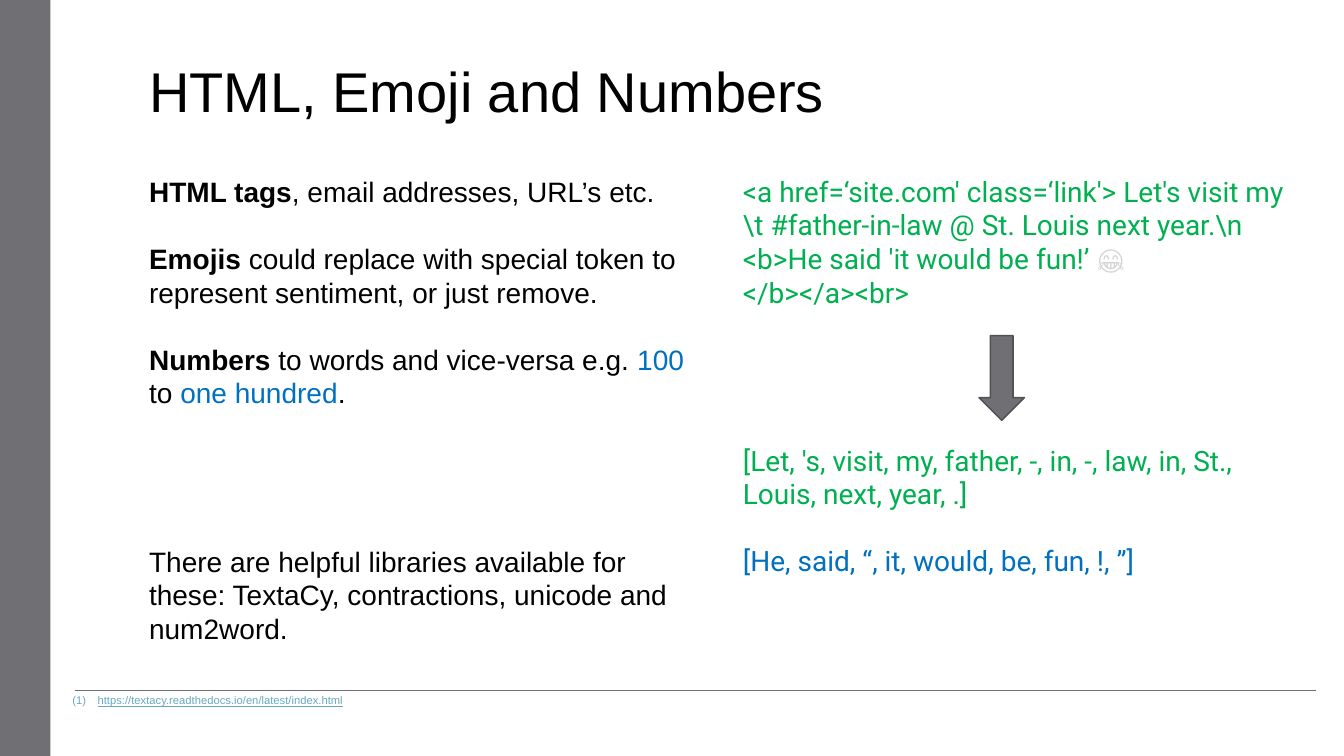
import pptx
import pptx.util
import pptx.dml.color
import pptx.enum.shapes
import pptx.enum.text
import pptx.oxml
import lxml.etree
from dataclasses import dataclass
from pptx.util import Inches


@dataclass(frozen=True)
class Theme:
    sans: str = "Arial"
    code: str = "Roboto"
    symbol: str = "DejaVu Sans Mono"
    black: str = "000000"
    blue: str = "0070C0"
    green: str = "00B050"
    pale: str = "D4D4D4"
    gray: str = "6F6F74"
    edge: str = "525256"
    link: str = "67AABF"
    title_size: int = 40
    body_size: int = 20
    note_size: int = 8
    leading: float = 1.2


THEME = Theme()

TITLE = "HTML, Emoji and Numbers"
REFERENCE = "https://textacy.readthedocs.io/en/latest/index.html"

PLAIN = {}
BOLD = {"bold": True}
BLUE = {"color": THEME.blue}
EMOJI = {"color": THEME.pale, "font": THEME.symbol}

ADVICE = [
    (0, [("HTML tags", BOLD), (", email addresses, URL’s etc.", PLAIN)]),
    (1, [("Emojis", BOLD),
         (" could replace with special token to represent sentiment, or just remove.", PLAIN)]),
    (1, [("Numbers", BOLD), (" to words and vice-versa e.g. ", PLAIN), ("100", BLUE),
         (" to ", PLAIN), ("one hundred", BLUE), (".", PLAIN)]),
    (4, [("There are helpful libraries available for these: "
          "TextaCy, contractions, unicode and num2word.", PLAIN)]),
]

EXAMPLE = [
    (0, [("<a href=‘site.com' class=‘link'> Let's visit my \\t #father-in-law @ St. Louis "
          "next year.\\n <b>He said 'it would be fun!’ ", PLAIN),
         ("😂 ", EMOJI), ("</b></a><br>", PLAIN)]),
    (4, [("[Let, 's, visit, my, father, -, in, -, law, in, St., Louis, next, year, .]", PLAIN)]),
    (1, [("[He, said, “, it, would, be, fun, !, ”]", BLUE)]),
]


def rgb(value):
    return pptx.dml.color.RGBColor.from_string(value)


def style_span(span, size, color, font, bold=False):
    span.font.size = pptx.util.Pt(size)
    span.font.name = font
    span.font.bold = bold
    span.font.color.rgb = rgb(color)


def prepare_frame(box):
    frame = box.text_frame
    frame.word_wrap = True
    frame.auto_size = pptx.enum.text.MSO_AUTO_SIZE.NONE
    frame.vertical_anchor = pptx.enum.text.MSO_ANCHOR.TOP
    return frame


def set_leading(para, size, blank_lines=0):
    pitch = size * THEME.leading
    para.alignment = pptx.enum.text.PP_ALIGN.LEFT
    para.line_spacing = pptx.util.Pt(pitch)
    para.space_before = pptx.util.Pt(pitch * blank_lines)


def add_shape(page, kind, area, fill, line=None):
    shape = page.shapes.add_shape(kind, *map(Inches, area))
    shape.shadow.inherit = False
    shape.fill.solid()
    shape.fill.fore_color.rgb = rgb(fill)
    if line:
        shape.line.color.rgb = rgb(line)
        shape.line.width = pptx.util.Pt(1.1)
    else:
        shape.line.fill.background()


def add_rule(page, left, right, top):
    rule = page.shapes.add_connector(
        pptx.enum.shapes.MSO_CONNECTOR.STRAIGHT,
        Inches(left), Inches(top), Inches(right), Inches(top))
    rule.line.color.rgb = rgb(THEME.gray)
    rule.line.width = pptx.util.Pt(0.75)
    properties = rule.element.spPr
    lxml.etree.SubElement(properties, pptx.oxml.ns.qn("a:effectLst"))


def add_title(page, area):
    title = page.shapes.title
    title.left, title.top, title.width, title.height = map(Inches, area)
    frame = prepare_frame(title)
    frame.text = TITLE
    para = frame.paragraphs[0]
    set_leading(para, THEME.title_size)
    style_span(para.runs[0], THEME.title_size, THEME.black, THEME.sans)


def add_column(page, area, content, color, font):
    frame = prepare_frame(page.shapes.add_textbox(*map(Inches, area)))
    for index, (blank_lines, pieces) in enumerate(content):
        para = frame.add_paragraph() if index else frame.paragraphs[0]
        set_leading(para, THEME.body_size, blank_lines)
        for text, look in pieces:
            span = para.add_run()
            span.text = text
            style_span(span, THEME.body_size, **({"color": color, "font": font} | look))


def add_reference(page, area):
    frame = prepare_frame(page.shapes.add_textbox(*map(Inches, area)))
    frame.text = REFERENCE
    para = frame.paragraphs[0]
    set_leading(para, THEME.note_size)
    properties = para._p.get_or_add_pPr()
    properties.set("marL", str(Inches(0.25)))
    properties.set("indent", str(Inches(-0.25)))
    number = lxml.etree.SubElement(properties, pptx.oxml.ns.qn("a:buAutoNum"))
    number.set("type", "arabicParenBoth")
    style_span(para.runs[0], THEME.note_size, THEME.link, THEME.sans)
    para.runs[0].font.underline = True


def main():
    deck = pptx.Presentation()
    deck.slide_width, deck.slide_height = Inches(13.33), Inches(7.5)
    page = deck.slides.add_slide(deck.slide_layouts.get_by_name("Title Only"))
    shapes = pptx.enum.shapes.MSO_SHAPE

    add_shape(page, shapes.RECTANGLE, (0, 0, 0.5, 7.5), THEME.gray)
    add_rule(page, 0.74, 13.05, 6.85)
    add_title(page, (1.38, 0.51, 11.37, 0.77))
    add_column(page, (1.38, 1.68, 5.72, 4.81), ADVICE, THEME.black, THEME.sans)
    add_column(page, (7.27, 1.68, 5.77, 4.14), EXAMPLE, THEME.green, THEME.code)
    add_shape(page, shapes.DOWN_ARROW, (9.71, 3.33, 0.45, 0.84), THEME.gray, THEME.edge)
    add_reference(page, (0.62, 6.83, 11.75, 0.24))

    deck.save("out.pptx")


if __name__ == "__main__":
    main()
